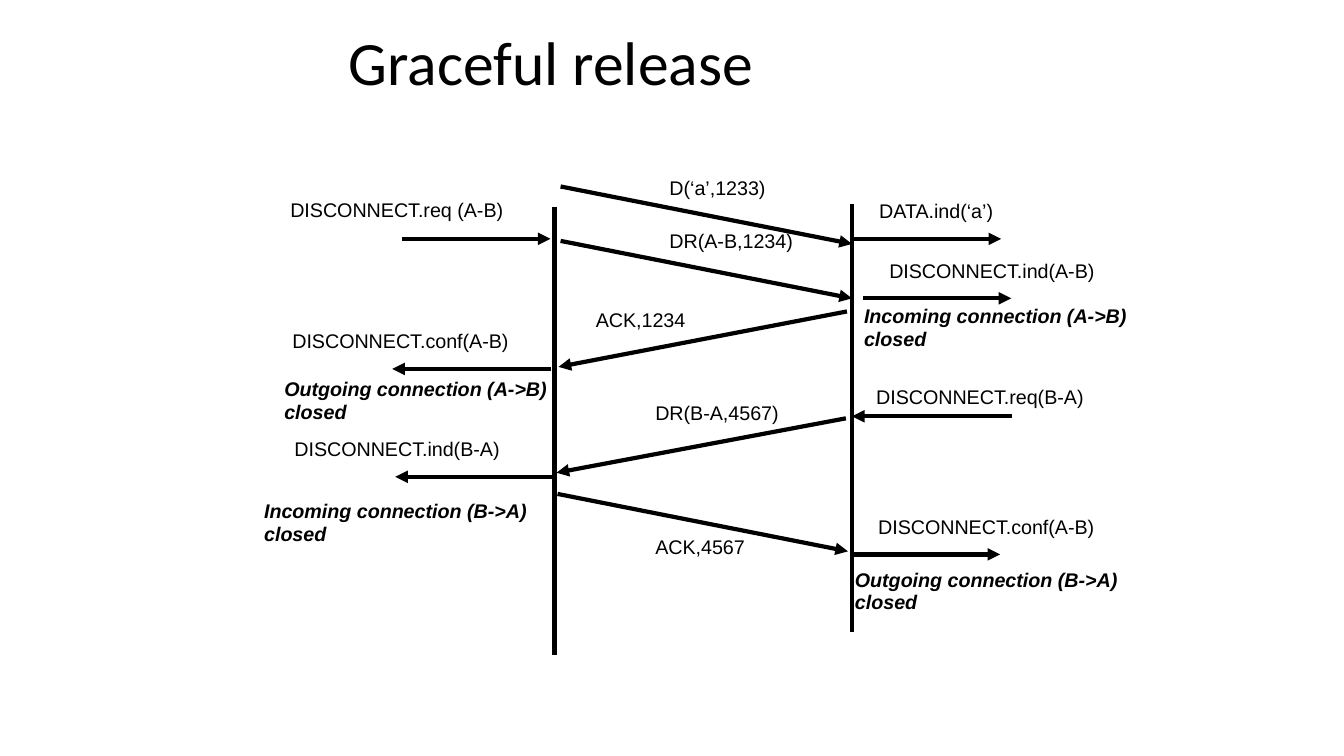
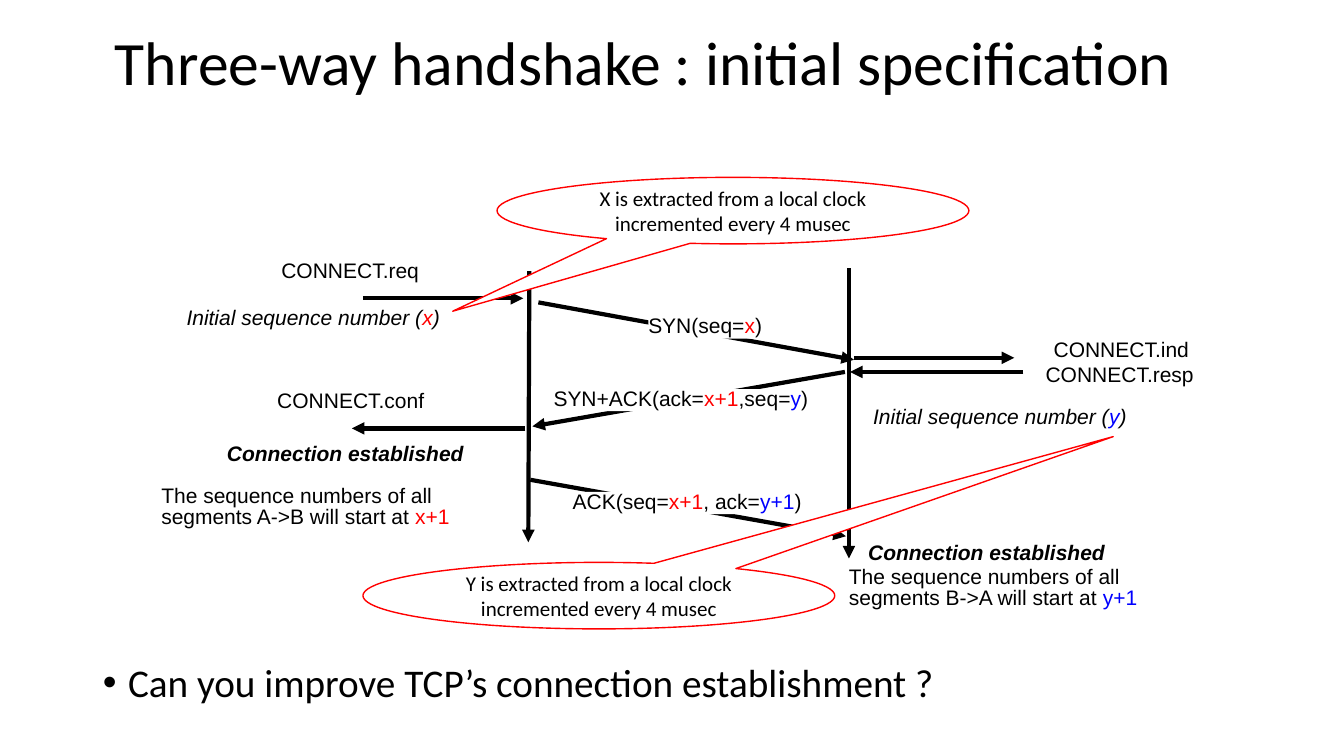
import pptx
import pptx.util
import pptx.dml.color
import pptx.enum.shapes
import pptx.enum.text
import pptx.oxml.ns
import lxml.etree

COLORS = {"ink": "000000", "paper": "FFFFFF", "x": "FF0000", "y": "0000FF"}
TITLE_FONT = "Calibri"
DIAGRAM_FONT = "Arial"
LINE_WIDTH = 3
TIGHT, LOOSE = 0.84, 0.97

Inches = pptx.util.Inches
Pt = pptx.util.Pt
qn = pptx.oxml.ns.qn


def color(name):
    return pptx.dml.color.RGBColor.from_string(COLORS[name])


def add_run(paragraph, text, font, size, ink="ink", bold=False, italic=False):
    run = paragraph.add_run()
    run.text = text
    run.font.name = font
    run.font.size = Pt(size)
    run.font.bold = bold
    run.font.italic = italic
    run.font.color.rgb = color(ink)


def place(part, left, top, width, height):
    part.left, part.top = Inches(left), Inches(top)
    part.width, part.height = Inches(width), Inches(height)


def set_insets(frame, across, down):
    frame.margin_left = frame.margin_right = Inches(across)
    frame.margin_top = frame.margin_bottom = Inches(down)


def add_title(slide, text, left, width):
    title = slide.shapes.title
    place(title, left, 0, width, 1.32)
    title.text_frame.vertical_anchor = pptx.enum.text.MSO_ANCHOR.MIDDLE
    heading = title.text_frame.paragraphs[0]
    heading.alignment = pptx.enum.text.PP_ALIGN.LEFT
    heading.line_spacing = TIGHT
    add_run(heading, text, TITLE_FONT, 44)


def add_question(slide, text, left, top, width, height):
    body = slide.placeholders[1]
    place(body, left, top, width, height)
    question = body.text_frame.paragraphs[0]
    question.line_spacing = 0.9
    question.space_before = Pt(10)
    properties = question._p.get_or_add_pPr()
    properties.set("marL", str(Inches(0.25)))
    properties.set("indent", str(-Inches(0.25)))
    lxml.etree.SubElement(properties, qn("a:buFont")).set("typeface", "Arial")
    lxml.etree.SubElement(properties, qn("a:buChar")).set("char", "•")
    add_run(question, text, TITLE_FONT, 28)


class Diagram:
    def __init__(self, slide, left, top, size):
        self.slide, self.left, self.top, self.size = slide, left, top, size

    def line(self, x1, y1, x2, y2, arrow=True):
        link = self.slide.shapes.add_connector(
            pptx.enum.shapes.MSO_CONNECTOR.STRAIGHT,
            Inches(self.left + x1), Inches(self.top + y1),
            Inches(self.left + x2), Inches(self.top + y2))
        link.line.color.rgb = color("ink")
        link.line.width = Pt(LINE_WIDTH)
        if arrow:
            outline = link.line._get_or_add_ln()
            lxml.etree.SubElement(outline, qn("a:tailEnd")).set("type", "triangle")
        lxml.etree.SubElement(link._element.spPr, qn("a:effectLst"))

    def label(self, lines, x, y, width, height, spacing=TIGHT,
              bold=False, italic=False, filled=False):
        box = self.slide.shapes.add_textbox(
            Inches(self.left + x), Inches(self.top + y), Inches(width), Inches(height))
        if filled:
            box.fill.solid()
            box.fill.fore_color.rgb = color("paper")
        frame = box.text_frame
        frame.word_wrap = False
        frame.vertical_anchor = pptx.enum.text.MSO_ANCHOR.MIDDLE
        set_insets(frame, 0, 0)
        for index, pieces in enumerate(lines):
            paragraph = frame.add_paragraph() if index else frame.paragraphs[0]
            paragraph.line_spacing = spacing
            for text, ink in pieces:
                add_run(paragraph, text, DIAGRAM_FONT, self.size, ink, bold, italic)

    def callout(self, text, x, y, pointer):
        bubble = self.slide.shapes.add_shape(
            pptx.enum.shapes.MSO_SHAPE.OVAL_CALLOUT,
            Inches(self.left + x), Inches(self.top + y), Inches(4.68), Inches(0.66))
        bubble.shadow.inherit = False
        bubble.adjustments[0], bubble.adjustments[1] = pointer
        bubble.fill.solid()
        bubble.fill.fore_color.rgb = color("paper")
        bubble.line.color.rgb = color("x")
        bubble.line.width = Pt(1)
        frame = bubble.text_frame
        frame.word_wrap = True
        frame.vertical_anchor = pptx.enum.text.MSO_ANCHOR.MIDDLE
        set_insets(frame, 0.07, 0.04)
        frame.paragraphs[0].alignment = pptx.enum.text.PP_ALIGN.CENTER
        add_run(frame.paragraphs[0], text, TITLE_FONT, 15)


def add_release_diagram(slide, left, top):
    diagram = Diagram(slide, left, top, 14.1)
    host_a, host_b = 3, 5.95
    diagram.line(host_a, 0.3, host_a, 4.75, arrow=False)
    diagram.line(host_b, 0.27, host_b, 4.52, arrow=False)

    segments = [
        (3.06, 0.1, host_b, 0.67), (3.06, 0.64, host_b, 1.21),
        (5.9, 1.34, 3.04, 1.89), (5.89, 2.4, 3.02, 2.94), (3.03, 3.15, 5.91, 3.72),
    ]
    for segment in segments:
        diagram.line(*segment)

    primitives = [
        (1.49, 2.96, 0.62), (5.96, 7.43, 0.62), (6.06, 7.53, 1.21), (2.97, 1.39, 1.91),
        (7.54, host_b, 2.38), (host_a, 1.42, 2.98), (host_b, 7.42, 3.75),
    ]
    for start, end, y in primitives:
        diagram.line(start, y, end, y)

    names = [
        ("D(‘a’,1233)", 4.14, 0.03, 1.07), ("DR(A-B,1234)", 4.14, 0.56, 1.24),
        ("ACK,1234", 3.41, 1.34, 0.9), ("DR(B-A,4567)", 4, 2.26, 1.24),
        ("ACK,4567", 4, 3.59, 0.9), ("DISCONNECT.req (A-B)", 0.38, 0.25, 2.13),
        ("DATA.ind(‘a’)", 6.22, 0.26, 1.25), ("DISCONNECT.ind(A-B)", 6.32, 0.85, 2.06),
        ("DISCONNECT.conf(A-B)", 0.4, 1.55, 2.16), ("DISCONNECT.req(B-A)", 6.19, 2.1, 2.08),
        ("DISCONNECT.ind(B-A)", 0.42, 2.62, 2.06), ("DISCONNECT.conf(A-B)", 6.21, 3.39, 2.16),
    ]
    for name, x, y, width in names:
        diagram.label([[(name, "ink")]], x, y, width, 0.2)

    closings = [
        ("Incoming connection (A->B)", 6.07, 1.28), ("Outgoing connection (A->B)", 0.32, 2),
        ("Incoming connection (B->A)", 0.12, 3.21), ("Outgoing connection (B->A)", 5.98, 3.89),
    ]
    for connection, x, y in closings:
        diagram.label([[(connection, "ink")], [("closed", "ink")]], x, y, 2.64, 0.46,
                      LOOSE, bold=True, italic=True)


def add_handshake_diagram(slide, left, top):
    diagram = Diagram(slide, left, top, 15)
    diagram.line(3.75, 0.94, 3.74, 3.63)
    diagram.line(6.92, 0.91, 6.92, 3.79)

    x_next, y_next = ("x+1", "x"), ("y+1", "y")
    closing = (")", "ink")
    segments = [
        ((3.84, 1.25, 6.97, 1.82), (4.93, 1.39, 1.14),
         [("SYN(seq=", "ink"), ("x", "x"), closing]),
        ((6.88, 1.94, 3.78, 2.48), (3.99, 2.11, 2.55),
         [("SYN+ACK(ack=", "ink"), x_next, (",seq=", "ink"), ("y", "y"), closing]),
        ((3.76, 3.01, 6.89, 3.57), (4.18, 3.13, 2.29),
         [("ACK(seq=", "ink"), x_next, (", ack=", "ink"), y_next, closing]),
    ]
    for segment, spot, pieces in segments:
        diagram.line(*segment)
        diagram.label([pieces], *spot, 0.22, filled=True)

    primitives = [
        ("CONNECT.req", (2.1, 3.69, 1.21), (1.29, 0.84, 1.38)),
        ("CONNECT.ind", (6.97, 8.56, 1.8), (8.95, 1.62, 1.36)),
        ("CONNECT.resp", (8.65, 6.93, 1.94), (8.87, 1.87, 1.49)),
        ("CONNECT.conf", (3.71, 1.99, 2.5), (1.25, 2.13, 1.47)),
    ]
    for name, (start, end, y), spot in primitives:
        diagram.line(start, y, end, y)
        diagram.label([[(name, "ink")]], *spot, 0.22)

    hosts = [
        ("x", "A->B", (0.35, 1.31), (0.75, 2.63), (0.1, 3.07)),
        ("y", "B->A", (7.16, 2.29), (7.11, 3.61), (6.92, 3.87)),
    ]
    for number, direction, initial, established, sequence in hosts:
        diagram.label([[("Initial sequence number (", "ink"), (number, number), closing]],
                      *initial, 2.52, 0.22, italic=True)
        diagram.label([[("Connection established", "ink")]], *established, 2.42, 0.25,
                      LOOSE, bold=True, italic=True)
        diagram.label([[("The sequence numbers of all", "ink")],
                       [(f"segments {direction} will start at ", "ink"),
                        (f"{number}+1", number)]], *sequence, 2.86, 0.44)

    for number, x, y, pointer in [("X", 3.43, 0.01, (-0.594, 1.513)),
                                  ("Y", 2.1, 3.83, (1.09, -2.392))]:
        diagram.callout(f"{number} is extracted from a local clock incremented every 4 musec",
                        x, y, pointer)


def main():
    deck = pptx.Presentation()
    deck.slide_width, deck.slide_height = Inches(13.33), Inches(7.5)

    release = deck.slides.add_slide(deck.slide_layouts[5])
    add_title(release, "Graceful release", 3.36, 7.67)
    add_release_diagram(release, 2.5, 1.75)

    handshake = deck.slides.add_slide(deck.slide_layouts[1])
    add_title(handshake, "Three-way handshake : initial specification", 1.04, 11.17)
    add_handshake_diagram(handshake, 1.5, 1.75)
    add_question(handshake, "Can you improve TCP’s connection establishment ?",
                 0.92, 6.53, 11.5, 0.57)

    deck.save("out.pptx")


if __name__ == "__main__":
    main()
